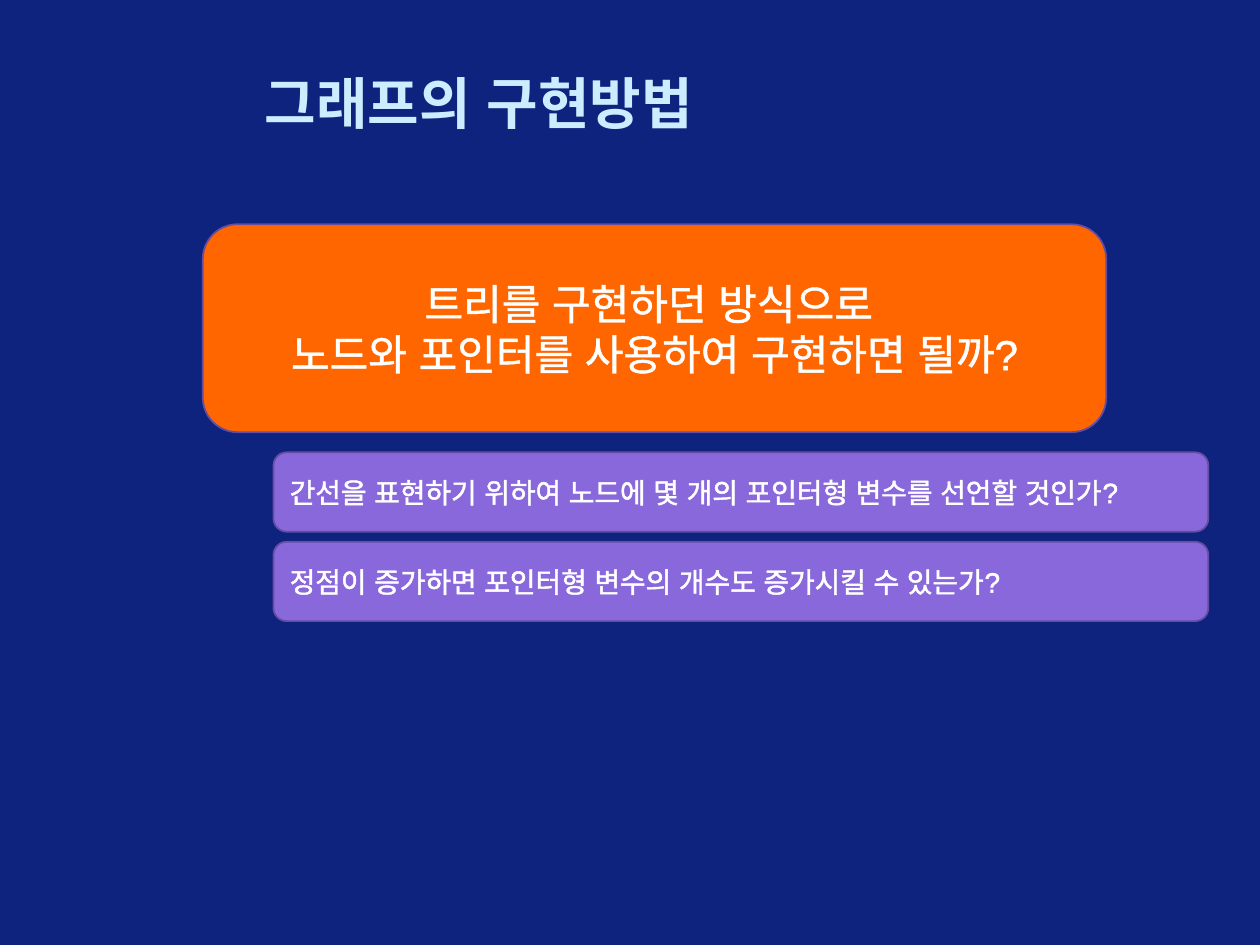
from lxml import etree
from pptx import Presentation
from pptx.dml.color import RGBColor
from pptx.enum.shapes import MSO_SHAPE as Shape
from pptx.enum.text import MSO_ANCHOR as Anchor, PP_ALIGN as Align
from pptx.oxml.ns import qn
from pptx.util import Inches, Pt

FONT = "Arial"
NAVY = RGBColor(0x0E, 0x23, 0x7E)
PALE_BLUE = RGBColor(0xCC, 0xEC, 0xFF)
ORANGE = RGBColor(0xFF, 0x66, 0x00)
PURPLE = RGBColor(0x89, 0x68, 0xDB)
BORDER = RGBColor(0x65, 0x4D, 0xA2)
WHITE = RGBColor(0xFF, 0xFF, 0xFF)

TITLE = "그래프의 구현방법"
QUESTION = ["트리를 구현하던 방식으로 ", "노드와 포인터를 사용하여 구현하면 될까?"]
ISSUES = [
    "간선을 표현하기 위하여 노드에 몇 개의 포인터형 변수를 선언할 것인가?",
    "정점이 증가하면 포인터형 변수의 개수도 증가시킬 수 있는가?",
]


def add_span(para, text, size, color, bold=False):
    span = para.add_run()
    span.text = text
    span.font.name = FONT
    span.font.size = Pt(size)
    span.font.bold = bold
    span.font.color.rgb = color
    # Korean glyphs take the East Asian typeface
    etree.SubElement(span.font._element, qn("a:ea"), typeface=FONT)
    return span


def outline_span(span, color, width):
    line = etree.Element(qn("a:ln"), w=str(int(Pt(width))))
    fill = etree.SubElement(line, qn("a:solidFill"))
    etree.SubElement(fill, qn("a:srgbClr"), val=str(color))
    span.font._element.insert(0, line)


def add_title(page, left, top, width, height):
    title = page.shapes.title
    title.left, title.top, title.width, title.height = left, top, width, height
    frame = title.text_frame
    frame.vertical_anchor = Anchor.MIDDLE
    para = frame.paragraphs[0]
    para.alignment = Align.LEFT
    add_span(para, TITLE, 32, PALE_BLUE, bold=True)


def add_panel(page, left, top, width, height, lines, fill, size, align):
    box = page.shapes.add_shape(Shape.ROUNDED_RECTANGLE, left, top, width, height)
    box.shadow.inherit = False
    box.fill.solid()
    box.fill.fore_color.rgb = fill
    box.line.color.rgb = BORDER
    box.line.width = Pt(1)
    frame = box.text_frame
    frame.word_wrap = True
    frame.vertical_anchor = Anchor.MIDDLE
    for index, text in enumerate(lines):
        para = frame.add_paragraph() if index else frame.paragraphs[0]
        para.alignment = align
        outline_span(add_span(para, text, size, WHITE), WHITE, 1.45)


def add_issues(page, left, top, width, row_height, pitch):
    for row, issue in enumerate(ISSUES):
        add_panel(page, left, top + row * pitch, width, row_height,
                  [issue], PURPLE, 16, Align.LEFT)


def main():
    deck = Presentation()
    deck.slide_width, deck.slide_height = Inches(10), Inches(7.5)
    page = deck.slides.add_slide(deck.slide_layouts.get_by_name("Title Only"))
    page.background.fill.solid()
    page.background.fill.fore_color.rgb = NAVY

    # Heading
    add_title(page, Inches(2), Inches(0.5), Inches(7.58), Inches(0.62))
    # Main question
    add_panel(page, Inches(1.61), Inches(1.78), Inches(7.17), Inches(1.65),
              QUESTION, ORANGE, 24, Align.CENTER)
    # Follow-up issues
    add_issues(page, Inches(2.17), Inches(3.59), Inches(7.42),
               Inches(0.63), Inches(0.71))

    deck.save("out.pptx")


if __name__ == "__main__":
    main()
